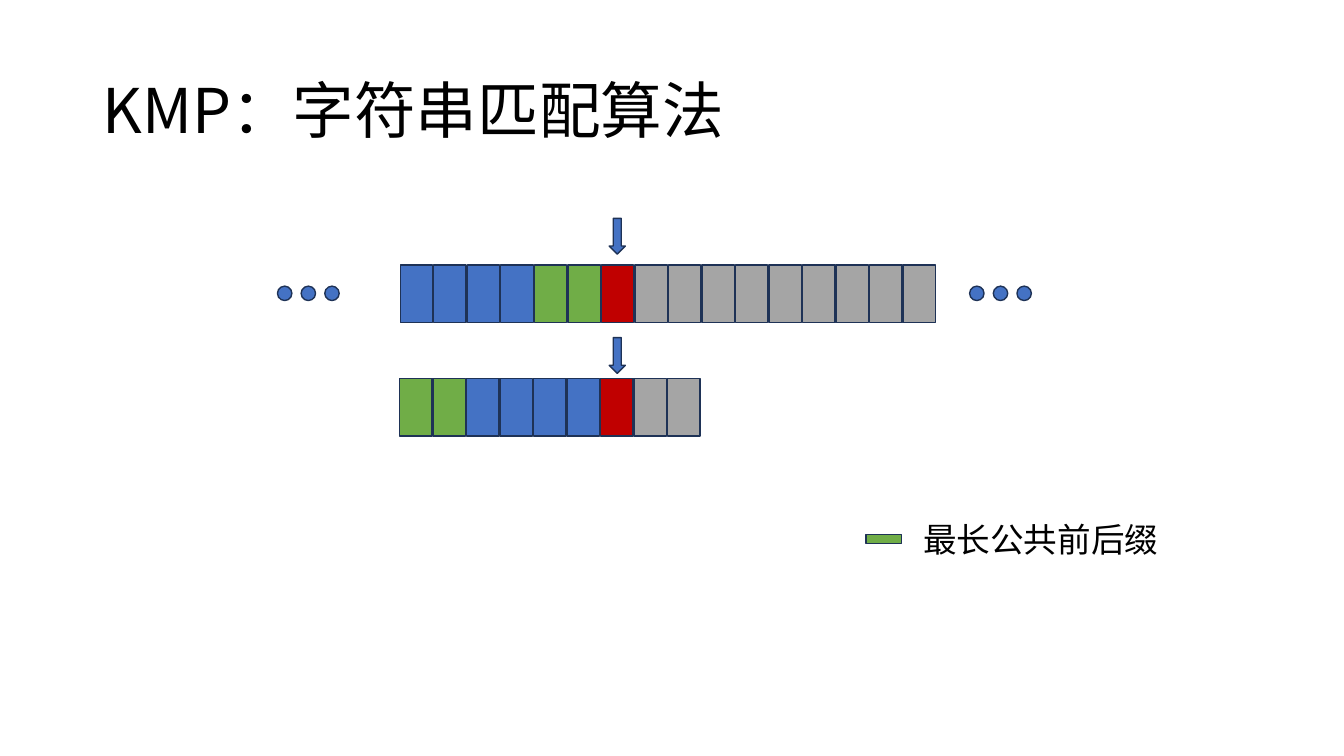
from lxml import etree
from pptx import Presentation
from pptx.dml.color import RGBColor
from pptx.enum import shapes, text
from pptx.oxml import ns
from pptx.util import Pt

FONT = "Noto Sans CJK SC"
COLORS = {
    "blue": "4472C4",
    "green": "70AD47",
    "red": "C00000",
    "gray": "A5A5A5",
    "outline": "1E3256",
    "text": "000000",
}
TITLE = "KMP：字符串匹配算法"
LEGEND = "最长公共前后缀"

STRING_ROWS = [
    (285.9, 189.2, [("blue", 4), ("green", 2), ("red", 1), ("gray", 9)]),
    (285.4, 270.2, [("green", 2), ("blue", 4), ("red", 1), ("gray", 2)]),
]
CELL_WIDTH, CELL_HEIGHT, CELL_PITCH = 23.2, 41.2, 23.94
ELLIPSIS_LEFTS = [198.2, 692.6]
DOT_TOP, DOT_SIZE, DOT_PITCH = 204.4, 10.3, 16.9
ARROW_LEFT, ARROW_WIDTH, ARROW_HEIGHT = 435.2, 11.5, 25.5
ARROW_TOPS = [156, 241.2]


def add_block(container, kind, left, top, width, height, color):
    shape = container.add_shape(kind, Pt(left), Pt(top), Pt(width), Pt(height))
    shape.shadow.inherit = False
    shape.fill.solid()
    shape.fill.fore_color.rgb = RGBColor.from_string(COLORS[color])
    shape.line.color.rgb = RGBColor.from_string(COLORS["outline"])
    shape.line.width = Pt(1)


def add_text(slide, content, left, top, width, height, size, wrap, anchor):
    box = slide.shapes.add_textbox(Pt(left), Pt(top), Pt(width), Pt(height))
    frame = box.text_frame
    frame.word_wrap = wrap
    frame.vertical_anchor = anchor
    paragraph = frame.paragraphs[0]
    paragraph.text = content
    font = paragraph.font
    font.size = Pt(size)
    font.color.rgb = RGBColor.from_string(COLORS["text"])
    font.name = FONT
    defaults = paragraph._p.pPr.find(ns.qn("a:defRPr"))
    etree.SubElement(defaults, ns.qn("a:ea"), typeface=FONT)
    return paragraph


def main():
    presentation = Presentation()
    presentation.slide_width, presentation.slide_height = Pt(960), Pt(540)
    slide = presentation.slides.add_slide(presentation.slide_layouts[6])
    kinds = shapes.MSO_SHAPE

    title = add_text(slide, TITLE, 66, 28.8, 828, 104.4, 44, True,
                     text.MSO_ANCHOR.MIDDLE)
    title.line_spacing = 0.9

    for left, top, runs in STRING_ROWS:
        cells = [color for color, count in runs for _ in range(count)]
        for index, color in enumerate(cells):
            add_block(slide.shapes, kinds.RECTANGLE, left + index * CELL_PITCH,
                      top, CELL_WIDTH, CELL_HEIGHT, color)

    for left in ELLIPSIS_LEFTS:
        group = slide.shapes.add_group_shape()
        for index in range(3):
            add_block(group.shapes, kinds.OVAL, left + index * DOT_PITCH,
                      DOT_TOP, DOT_SIZE, DOT_SIZE, "blue")

    for top in ARROW_TOPS:
        add_block(slide.shapes, kinds.DOWN_ARROW, ARROW_LEFT, top,
                  ARROW_WIDTH, ARROW_HEIGHT, "blue")

    add_text(slide, LEGEND, 652.3, 367.2, 184.3, 36, 24, False,
             text.MSO_ANCHOR.TOP)
    add_block(slide.shapes, kinds.RECTANGLE, 618.5, 381.6, 25.4, 6.7, "green")

    presentation.save("out.pptx")


if __name__ == "__main__":
    main()
